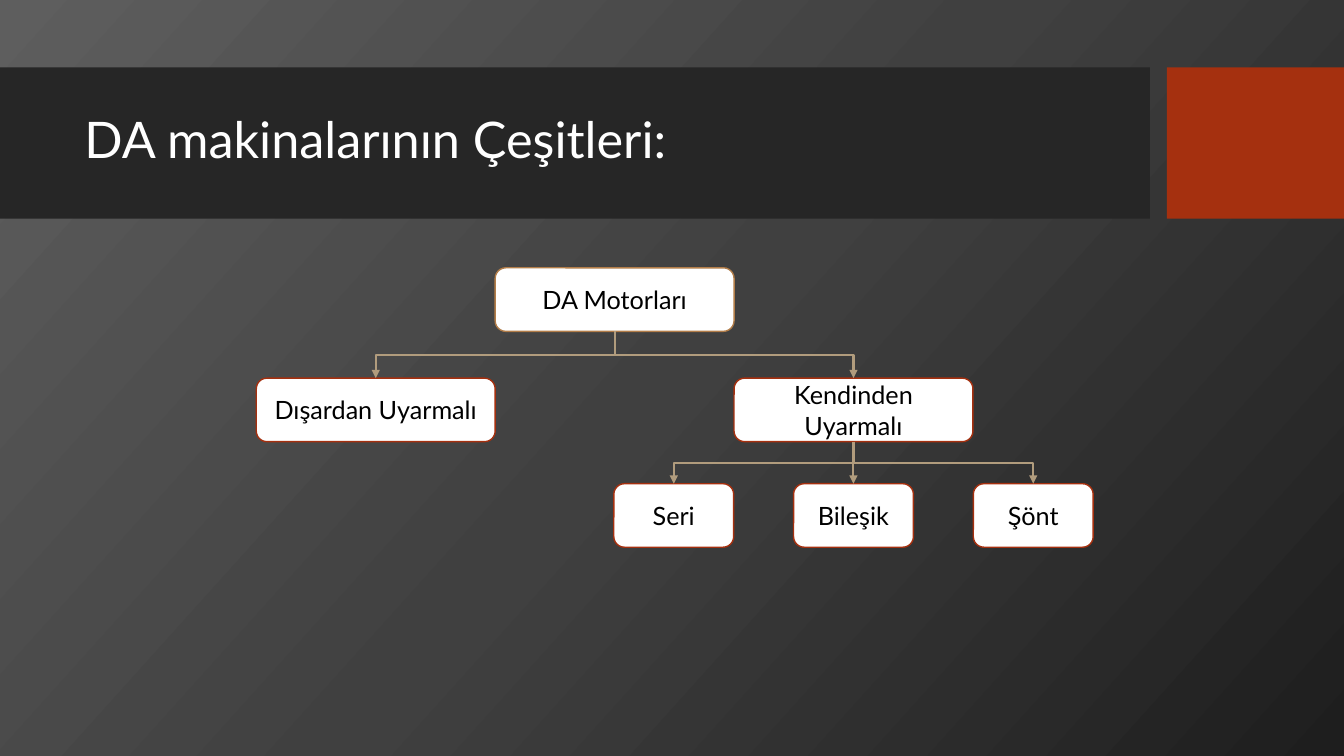
from copy import deepcopy
from dataclasses import dataclass

from pptx import Presentation
from pptx.dml.color import RGBColor
from pptx.enum.shapes import MSO_CONNECTOR, MSO_SHAPE
from pptx.enum.text import MSO_ANCHOR, PP_ALIGN
from pptx.oxml.ns import qn
from pptx.slide import Slide
from pptx.text.text import TextFrame
from pptx.util import Cm, Pt
from lxml.etree import SubElement

FONT = "Lato"
RED, GOLD, TAN = "A5300F", "B27D49", "B19C7D"
WHITE, BLACK, DARK = "FFFFFF", "000000", "262626"
HIGH = 1.6             # height of every node
WIDE, SLIM = 6.02, 3.02
ROWS = (6.75, 9.53, 12.19)
MID = 15.49            # centre of the root
STEP = 4.53            # distance between leaves


@dataclass
class Node:
    text: str
    mid: float
    top: float
    width: float = WIDE
    edge: str = RED


def color(code: str) -> RGBColor:
    return RGBColor.from_string(code)


def write(frame: TextFrame, text: str, size: int, code: str, align: PP_ALIGN) -> None:
    frame.word_wrap = True
    frame.vertical_anchor = MSO_ANCHOR.MIDDLE
    para = frame.paragraphs[0]
    para.alignment = align
    run = para.add_run()
    run.text = text
    run.font.name = FONT
    run.font.size = Pt(size)
    run.font.color.rgb = color(code)


def paint(slide: Slide) -> None:
    fill = slide.background.fill
    fill.gradient()
    fill.gradient_angle = 318
    stops = slide._element.find(".//" + qn("a:gsLst"))
    stops.append(deepcopy(stops[0]))
    tones = ((0, "5E5E5E"), (0.5, "404040"), (1, "1E1E1E"))
    for stop, (place, code) in zip(fill.gradient_stops, tones):
        stop.position = place
        stop.color.rgb = color(code)


def band(slide: Slide, left: float, width: float, code: str) -> None:
    bar = slide.shapes.add_shape(MSO_SHAPE.RECTANGLE, Cm(left), Cm(1.7), Cm(width), Cm(3.81))
    bar.shadow.inherit = False
    bar.fill.solid()
    bar.fill.fore_color.rgb = color(code)
    bar.line.fill.background()


def draw(slide: Slide, node: Node) -> None:
    box = slide.shapes.add_shape(
        MSO_SHAPE.ROUNDED_RECTANGLE,
        Cm(node.mid - node.width / 2), Cm(node.top), Cm(node.width), Cm(HIGH))
    box.shadow.inherit = False
    box.fill.solid()
    box.fill.fore_color.rgb = color(WHITE)
    box.line.color.rgb = color(node.edge)
    box.line.width = Pt(1)
    write(box.text_frame, node.text, 18, BLACK, PP_ALIGN.CENTER)


def link(slide: Slide, start: Node, end: Node) -> None:
    # An elbow leaves sideways, so lay it on its side and turn it downwards
    drop = end.top - start.top - HIGH
    span = abs(end.mid - start.mid)
    left = (start.mid + end.mid - drop) / 2
    top = end.top - (drop + span) / 2
    ends = [left, left + drop]
    turn = 90
    if end.mid >= start.mid:
        ends.reverse()
        turn = 270
    line = slide.shapes.add_connector(
        MSO_CONNECTOR.ELBOW, Cm(ends[0]), Cm(top), Cm(ends[1]), Cm(top + span))
    line.rotation = turn
    line.line.color.rgb = color(TAN)
    line.line.width = Pt(1.5)
    SubElement(line.line._get_or_add_ln(), qn("a:tailEnd"), type="triangle")
    SubElement(line._element.spPr, qn("a:effectLst"))


def main() -> None:
    deck = Presentation()
    deck.slide_width, deck.slide_height = Cm(33.87), Cm(19.05)
    slide = deck.slides.add_slide(deck.slide_layouts[6])

    # Background and title band
    paint(slide)
    band(slide, 0, 28.98, DARK)
    band(slide, 29.41, 4.46, RED)
    title = slide.shapes.add_textbox(Cm(1.88), Cm(2.08), Cm(26.7), Cm(3))
    write(title.text_frame, "DA makinalarının Çeşitleri:", 36, WHITE, PP_ALIGN.LEFT)
    title.text_frame.paragraphs[0].line_spacing = 0.9

    # Tree of motor types
    root = Node("DA Motorları", MID, ROWS[0], edge=GOLD)
    outer = Node("Dışardan Uyarmalı", MID - WIDE, ROWS[1])
    self_fed = Node("Kendinden Uyarmalı", MID + WIDE, ROWS[1])
    leaves = [Node(text, self_fed.mid + (i - 1) * STEP, ROWS[2], SLIM)
              for i, text in enumerate(("Seri", "Bileşik", "Şönt"))]
    for node in (root, outer, self_fed, *leaves):
        draw(slide, node)

    # Arrows from parent to child
    for start, kids in ((root, (outer, self_fed)), (self_fed, leaves)):
        for end in kids:
            link(slide, start, end)

    deck.save("out.pptx")


if __name__ == "__main__":
    main()
